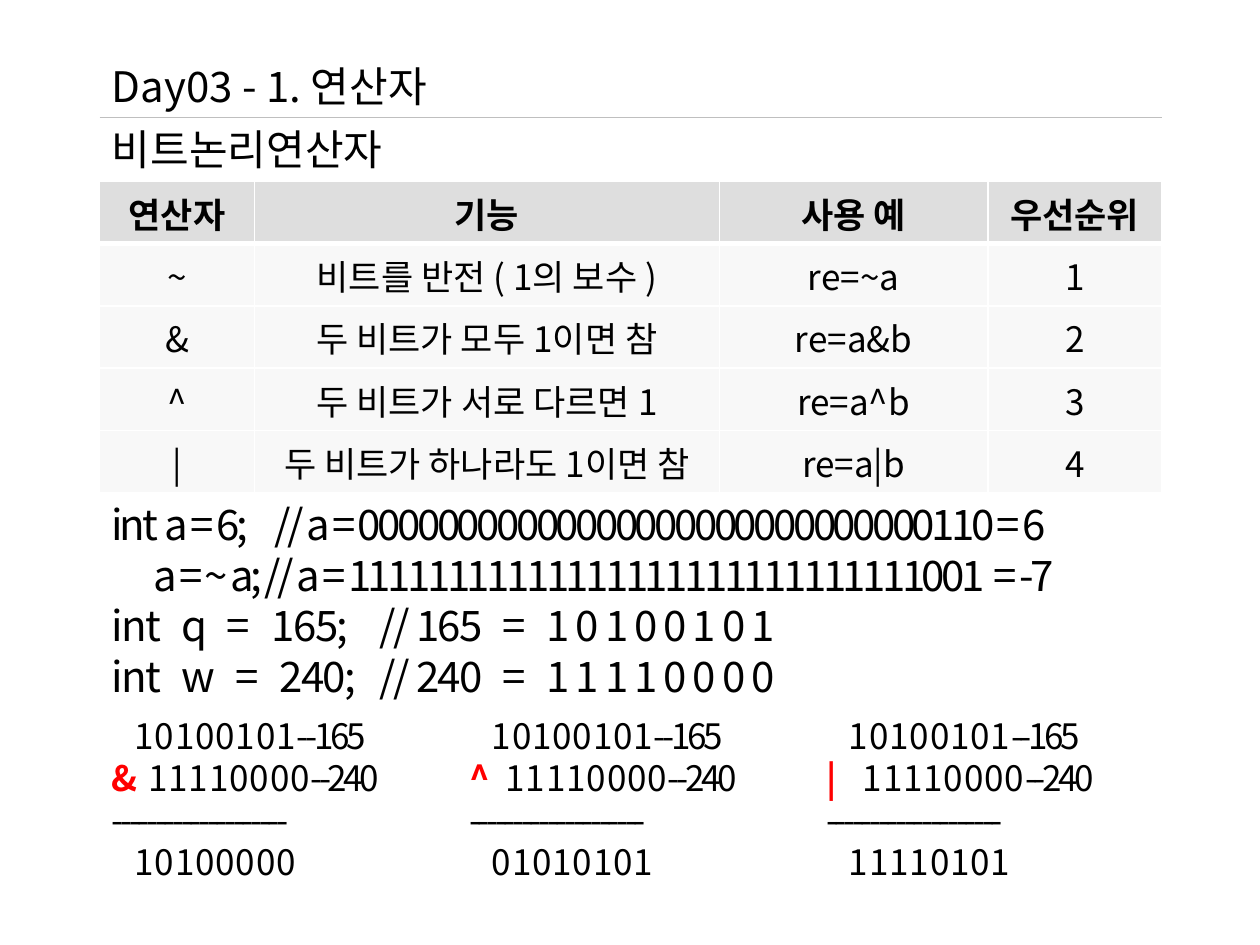
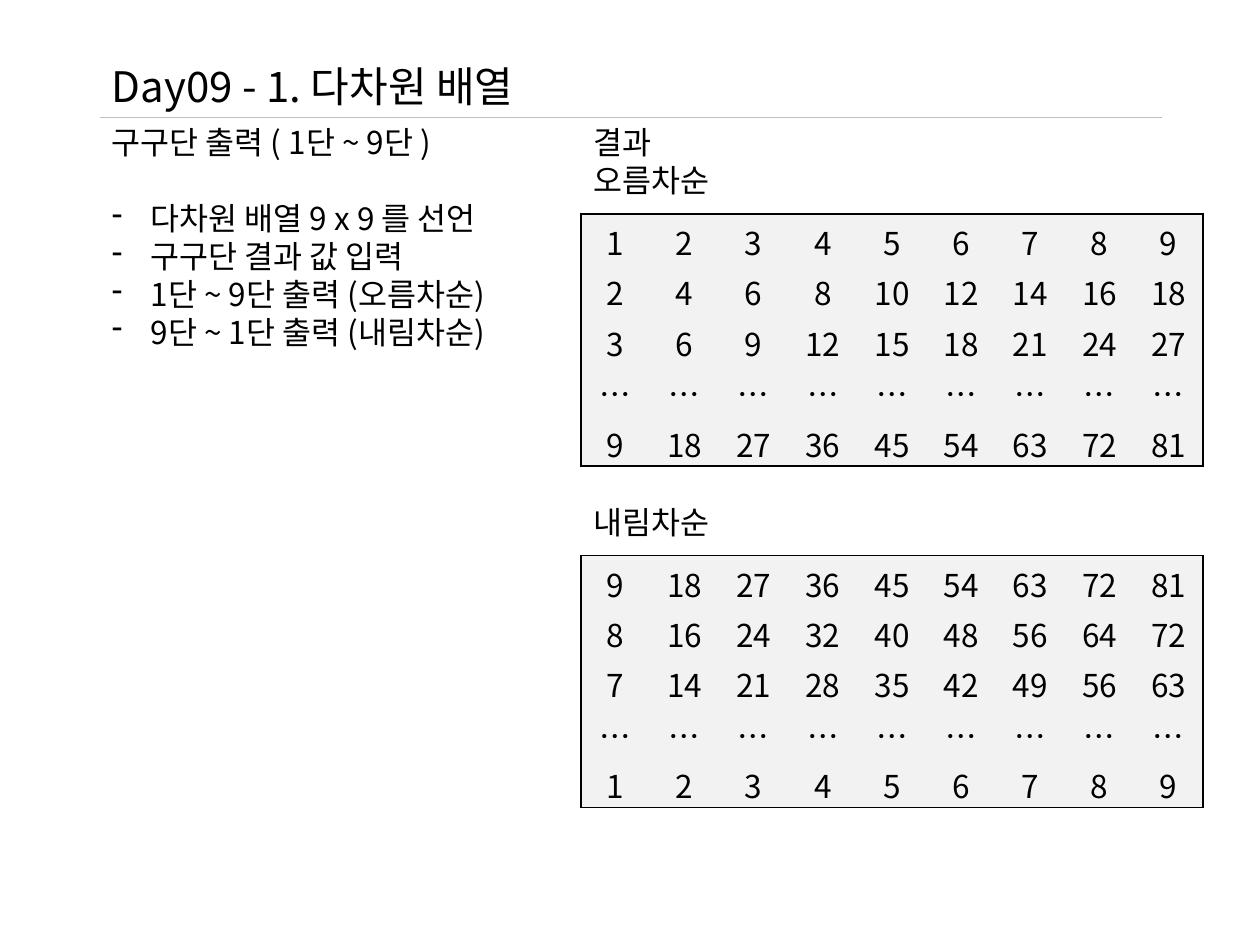
from dataclasses import dataclass

from lxml import etree
from pptx import Presentation
from pptx import util as u
from pptx.dml.color import RGBColor
from pptx.enum import shapes, text
from pptx.oxml.ns import qn


@dataclass(frozen=True)
class Theme:
    """Colours, font and type sizes shared by the slides."""
    font: str = "Noto Sans CJK KR"
    ink: str = "000000"
    accent: str = "FF0000"
    rule: str = "BFBFBF"
    paper: str = "FFFFFF"
    panel: str = "F2F2F2"
    title: int = 24
    cell: int = 20
    body: int = 18


T = Theme()
LEFT, TOP, WIDTH, BAND = 0.79, 0.43, 8.43, 0.5
RULE_Y = TOP + BAND
SIDES = ("L", "R", "T", "B")


def sub(parent, tag, **attrs):
    """Append a drawing element and return it."""
    return etree.SubElement(parent, qn(f"a:{tag}"), attrs)


def style_run(r, size, color=T.ink, bold=False, spacing=0):
    """Apply font, size, colour and letter spacing to a run."""
    r.font.name, r.font.size, r.font.bold = T.font, u.Pt(size), bold
    r.font.color.rgb = RGBColor.from_string(color)
    rpr = r.font._element
    sub(rpr, "ea", typeface=T.font)
    if spacing:
        rpr.set("spc", str(spacing * 100))


def set_tabs(p, stops):
    """Give a paragraph left tab stops, in inches."""
    tabs = sub(p._p.get_or_add_pPr(), "tabLst")
    for stop in stops:
        sub(tabs, "tab", pos=str(u.Inches(stop)), algn="l")


def set_indent(p, left, hanging=0):
    """Set the left margin and hanging indent of a paragraph."""
    ppr = p._p.get_or_add_pPr()
    ppr.set("marL", str(u.Inches(left)))
    ppr.set("indent", str(-u.Inches(hanging)))


def add_text(slide, box, lines, size, spacing=0):
    """Add a text box with one paragraph per line and return its paragraphs."""
    sp = slide.shapes.add_textbox(*map(u.Inches, box))
    tf = sp.text_frame
    tf.word_wrap = True
    tf.auto_size = text.MSO_AUTO_SIZE.SHAPE_TO_FIT_TEXT
    tf.text = "\n".join(lines)
    for p in tf.paragraphs:
        for r in p.runs:
            style_run(r, size, spacing=spacing)
    return tf.paragraphs


def add_header(slide, title):
    """Add the slide title and the rule under it."""
    add_text(slide, (LEFT, TOP, WIDTH, BAND), [title], T.title)
    ends = (LEFT, RULE_Y, LEFT + WIDTH, RULE_Y)
    line = slide.shapes.add_connector(shapes.MSO_CONNECTOR.STRAIGHT, *map(u.Inches, ends))
    line.line.color.rgb = RGBColor.from_string(T.rule)
    line.line.width = u.Pt(0.75)
    sub(line._element.spPr, "effectLst")


def set_borders(cell, color, widths):
    """Draw the cell borders; a width of zero hides that side."""
    tcpr = cell._tc.get_or_add_tcPr()
    for side, width in zip(SIDES, widths):
        ln = sub(tcpr, f"ln{side}", w=str(u.Pt(width)))
        if width:
            sub(sub(ln, "solidFill"), "srgbClr", val=color)
        else:
            sub(ln, "noFill")


def fill_cell(cell, color, alpha=None):
    """Fill a cell, with an optional opacity in percent."""
    cell.fill.solid()
    cell.fill.fore_color.rgb = RGBColor.from_string(color)
    if alpha:
        clr = cell._tc.tcPr.find(qn("a:solidFill")).find(qn("a:srgbClr"))
        sub(clr, "alpha", val=str(alpha * 1000))


def add_grid(slide, box, rows, widths):
    """Add a plain table with equal rows and return it."""
    table = slide.shapes.add_table(len(rows), len(widths), *map(u.Inches, box)).table
    table.first_row = table.horz_banding = False
    for col, width in zip(table.columns, widths):
        col.width = u.Inches(width)
    for row in table.rows:
        row.height = u.Inches(box[3] / len(rows))
    return table


def write_cell(cell, value, size, bold=False):
    """Write centred text in a cell."""
    cell.text_frame.text = value
    p = cell.text_frame.paragraphs[0]
    p.alignment = text.PP_ALIGN.CENTER
    style_run(p.runs[0], size, bold=bold)


def add_operator_table(slide, box, rows):
    """Add the operator table with its bold header row."""
    table = add_grid(slide, box, rows, (1.23, 3.69, 2.13, 1.38))
    for i, row in enumerate(rows):
        top, bottom = 3 if i == 1 else 1, 3 if i == 0 else 1
        for j, value in enumerate(row):
            cell = table.cell(i, j)
            cell.vertical_anchor = text.MSO_ANCHOR.MIDDLE
            write_cell(cell, value, T.cell, bold=i == 0)
            set_borders(cell, T.paper, (1, 1, top, bottom))
            fill_cell(cell, T.panel if i else T.rule, 50)


def add_times_table(slide, box, factors):
    """Add a framed multiplication table; None stands for skipped rows."""
    count = 9
    table = add_grid(slide, box, factors, [box[2] / count] * count)
    last = len(factors) - 1
    for i, factor in enumerate(factors):
        for j in range(count):
            cell = table.cell(i, j)
            cell.margin_left = cell.margin_right = cell.margin_top = cell.margin_bottom = 0
            cell.vertical_anchor = text.MSO_ANCHOR.BOTTOM
            value = str(factor * (j + 1)) if factor else "…"
            write_cell(cell, value, T.body)
            set_borders(cell, T.ink, (j == 0, j == count - 1, i == 0, i == last))
            fill_cell(cell, T.panel)


def add_code(slide, box, lines, spacing):
    """Add code lines, each a pair of text and tab stops."""
    paragraphs = add_text(slide, box, [line for line, _ in lines], T.title, spacing)
    for p, (_, stops) in zip(paragraphs, lines):
        if stops:
            set_tabs(p, stops)


def add_calculation(slide, box, operator, result):
    """Add one worked bit calculation with a red operator."""
    lines = ["1 0 1 0 0 1 0 1 --165", operator, "-" * 20, result]
    paragraphs = add_text(slide, box, lines, T.cell, -2)
    for p in (paragraphs[0], paragraphs[3]):
        set_indent(p, 0.18)
    p = paragraphs[1]
    set_tabs(p, [0.29])
    sign = p.runs[0]
    sign.font.bold = True
    sign.font.color.rgb = RGBColor.from_string(T.accent)
    r = p.add_run()
    r.text = "\t1 1 1 1 0 0 0 0 --240"
    style_run(r, T.cell, spacing=-2)


def add_task(slide, box, heading, steps):
    """Add a heading followed by dashed steps."""
    paragraphs = add_text(slide, box, [heading, *steps], T.body)
    paragraphs[1].space_before = u.Pt(21.7)
    for p in paragraphs[1:]:
        set_indent(p, 0.31, 0.31)
        sub(p._p.pPr, "buChar", char="-")


def build_bitwise(slide):
    """Build the slide on bitwise operators."""
    add_header(slide, "Day03 - 1. 연산자")
    add_text(slide, (LEFT, RULE_Y, WIDTH, BAND), ["비트논리연산자"], T.title)
    add_operator_table(slide, (LEFT, 1.44, WIDTH, 2.47), [
        ("연산자", "기능", "사용 예", "우선순위"),
        ("~", "비트를 반전 ( 1의 보수 )", "re=~a", "1"),
        ("&", "두 비트가 모두 1이면 참", "re=a&b", "2"),
        ("^", "두 비트가 서로 다르면 1", "re=a^b", "3"),
        ("|", "두 비트가 하나라도 1이면 참", "re=a|b", "4"),
    ])
    add_code(slide, (LEFT, 3.91, WIDTH, 0.9), [
        ("int\ta = 6;\t// a = 00000000000000000000000000000110 = 6", (0.42, 1.29)),
        ("       a = ~ a; // a = 11111111111111111111111111111001\t= -7", (7.0,)),
    ], -2)
    add_code(slide, (LEFT, 4.71, WIDTH, 0.9), [
        ("int\tq\t=\t165;\t// 165\t=\t1 0 1 0 0 1 0 1", (0.55, 0.91, 1.27, 2.12, 3.1, 3.45)),
        ("int\tw\t=\t240;\t// 240\t=\t1 1 1 1 0 0 0 0", (0.55, 0.98, 1.33, 2.12, 3.1, 3.45)),
    ], -1)
    results = {"&": "1 0 1 0 0 0 0 0", "^": "0 1 0 1 0 1 0 1", "|": "1 1 1 1 0 1 0 1"}
    width = 2.76
    step = (WIDTH - width) / (len(results) - 1)
    for i, (operator, result) in enumerate(results.items()):
        add_calculation(slide, (LEFT + i * step, 5.62, width, 1.45), operator, result)


def build_arrays(slide):
    """Build the slide on multidimensional arrays."""
    add_header(slide, "Day09 - 1. 다차원 배열")
    add_task(slide, (LEFT, RULE_Y, 3.9, 1.92), "구구단 출력 ( 1단 ~ 9단 )", [
        "다차원 배열 9 x 9 를 선언",
        "구구단 결과 값 입력",
        "1단 ~ 9단 출력 (오름차순)",
        "9단 ~ 1단 출력 (내림차순)",
    ])
    left, width, height = 4.61, 4.94, 2
    add_text(slide, (left, RULE_Y, 4.06, 0.7), ["결과", "오름차순"], T.body)
    add_times_table(slide, (left, 1.7, width, height), (1, 2, 3, None, 9))
    add_text(slide, (left, 3.94, 4.06, 0.4), ["내림차순"], T.body)
    add_times_table(slide, (left, 4.41, width, height), (9, 8, 7, None, 1))


def main():
    """Build and save the presentation."""
    prs = Presentation()
    prs.slide_width, prs.slide_height = u.Inches(10), u.Inches(7.5)
    for build in (build_bitwise, build_arrays):
        build(prs.slides.add_slide(prs.slide_layouts[6]))
    prs.save("out.pptx")


if __name__ == "__main__":
    main()
